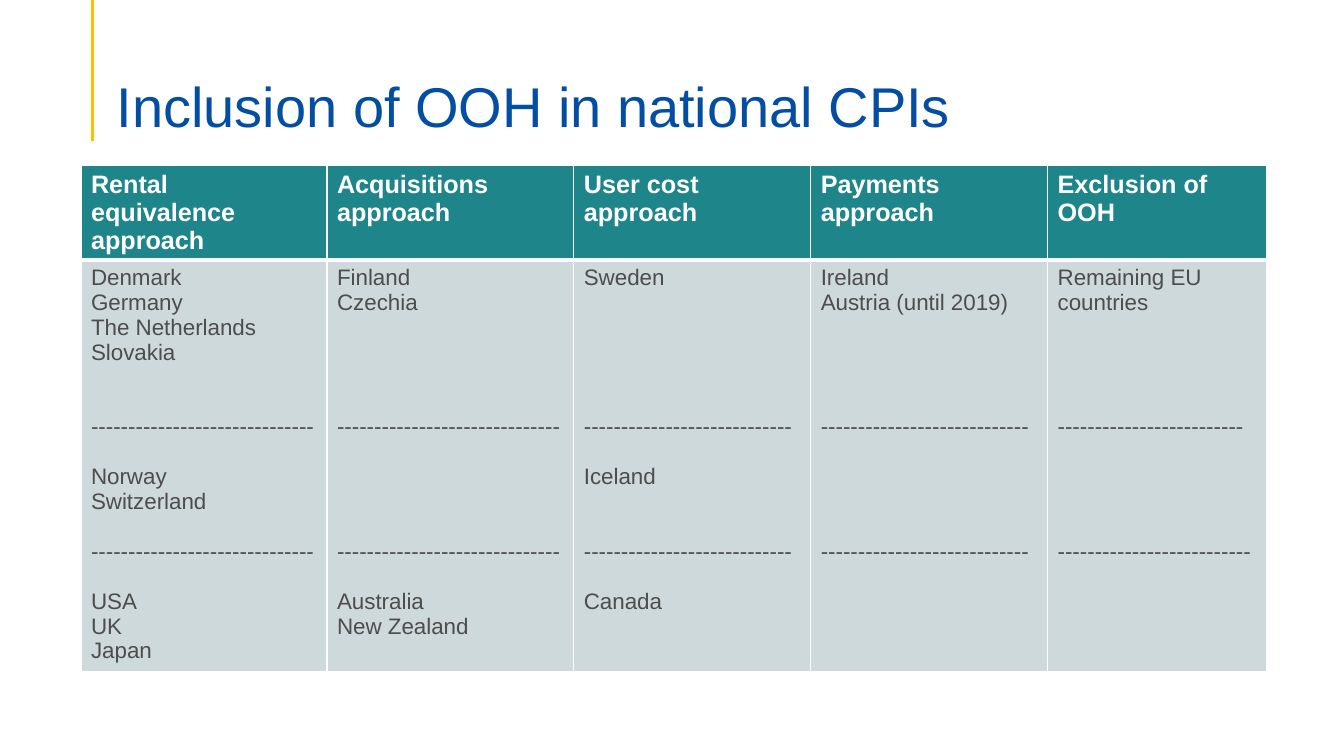
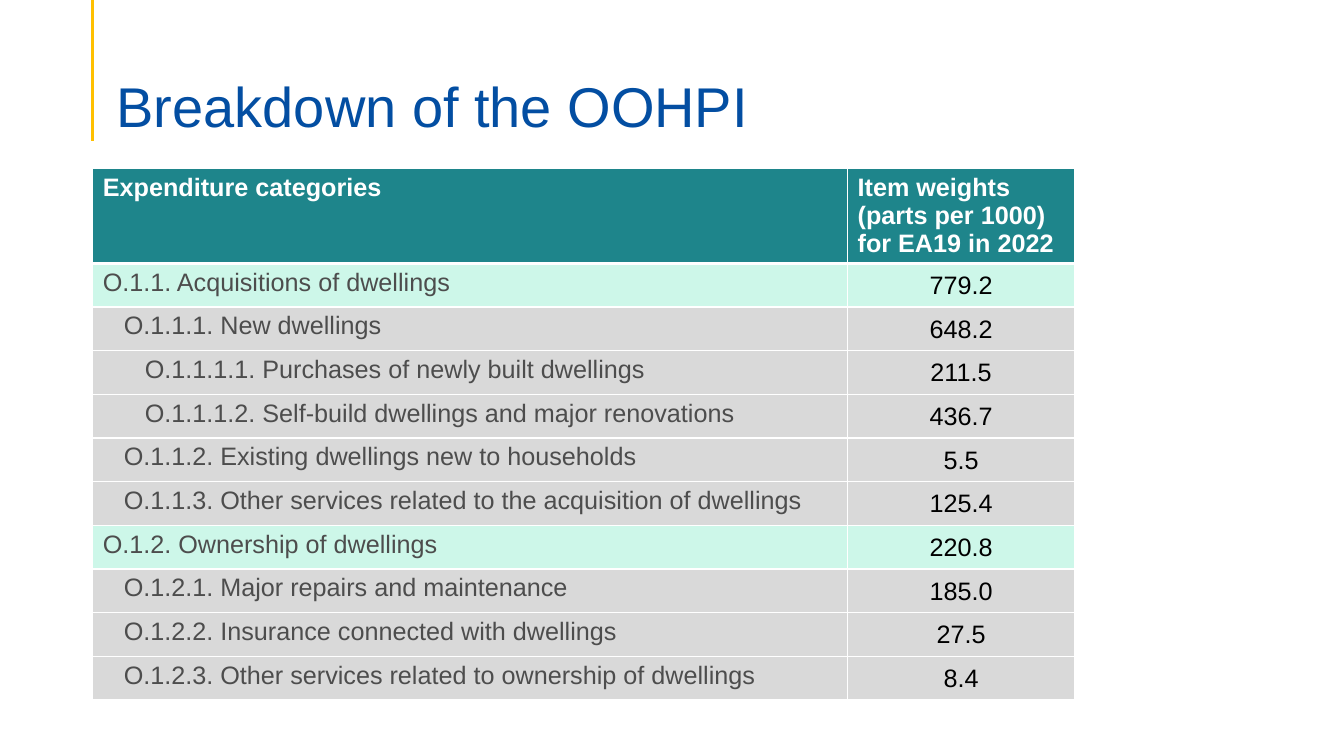
from lxml.etree import SubElement
from pptx import Presentation
from pptx.dml.color import RGBColor
from pptx.enum.shapes import MSO_CONNECTOR
from pptx.enum.text import MSO_ANCHOR, PP_ALIGN
from pptx.oxml.ns import qn
from pptx.util import Cm, Pt

BLUE = RGBColor(0x03, 0x4E, 0xA2)
GOLD = RGBColor(0xFF, 0xC0, 0x00)
TEAL = RGBColor(0x1E, 0x85, 0x8B)
MIST = RGBColor(0xCD, 0xD9, 0xDA)
MINT = RGBColor(0xCD, 0xF7, 0xE9)
SILVER = RGBColor(0xD9, 0xD9, 0xD9)
GREY = RGBColor(0x4D, 0x4D, 0x4D)
BLACK = RGBColor(0x00, 0x00, 0x00)
WHITE = RGBColor(0xFF, 0xFF, 0xFF)

FONT = "Arial"
COUNTRY_SIZE = 16
COUNTRY_LINE = 17.8  # points from one line of countries to the next
INDENT = 0.53  # cm for each level of an expenditure category

# For each approach: heading, column width in cm, and lines of text,
# each with the number of line heights left free above it.
APPROACHES = [
    ("Rental equivalence approach", 6.2,
     [("Denmark", 0), ("Germany", 0), ("The Netherlands", 0), ("Slovakia", 0),
      ("-" * 30, 2), ("Norway", 1), ("Switzerland", 0),
      ("-" * 30, 1), ("USA", 1), ("UK", 0), ("Japan", 0)]),
    ("Acquisitions approach", 6.22,
     [("Finland", 0), ("Czechia", 0), ("-" * 30, 4),
      ("-" * 30, 4), ("Australia", 1), ("New Zealand", 0)]),
    ("User cost approach", 5.97,
     [("Sweden", 0), ("-" * 28, 5), ("Iceland", 1),
      ("-" * 28, 2), ("Canada", 1)]),
    ("Payments approach", 5.97,
     [("Ireland", 0), ("Austria (until 2019)", 0),
      ("-" * 28, 4), ("-" * 28, 4)]),
    ("Exclusion of OOH", 5.51,
     [("Remaining EU countries", 0), ("-" * 25, 4), ("-" * 26, 4)]),
]

# Level, category, weight
WEIGHTS = [
    (0, "O.1.1. Acquisitions of dwellings", "779.2"),
    (1, "O.1.1.1. New dwellings", "648.2"),
    (2, "O.1.1.1.1. Purchases of newly built dwellings", "211.5"),
    (2, "O.1.1.1.2. Self-build dwellings and major renovations", "436.7"),
    (1, "O.1.1.2. Existing dwellings new to households", "5.5"),
    (1, "O.1.1.3. Other services related to the acquisition of dwellings",
     "125.4"),
    (0, "O.1.2. Ownership of dwellings", "220.8"),
    (1, "O.1.2.1. Major repairs and maintenance", "185.0"),
    (1, "O.1.2.2. Insurance connected with dwellings", "27.5"),
    (1, "O.1.2.3. Other services related to ownership of dwellings", "8.4"),
]


class Deck:
    """Holds the shared style and the slide being built."""

    def __init__(self):
        self.prs = Presentation()
        self.prs.slide_width = Cm(33.87)
        self.prs.slide_height = Cm(19.05)
        self.s = None

    def style(self, p, size, color, bold=False):
        font = p.font
        font.name, font.size, font.bold = FONT, Pt(size), bold
        font.color.rgb = color

    def add_slide(self, title):
        self.s = self.prs.slides.add_slide(self.prs.slide_layouts[5])
        self.accent_line()
        sp = self.s.shapes.title
        sp.left, sp.top = Cm(2.69), Cm(1.35)
        sp.width, sp.height = Cm(29.21), Cm(2.18)
        tf = sp.text_frame
        tf.text = title
        tf.vertical_anchor = MSO_ANCHOR.BOTTOM
        tf.margin_left = tf.margin_right = Cm(0.25)
        tf.margin_top, tf.margin_bottom = Cm(0.13), 0
        p = tf.paragraphs[0]
        p.alignment = PP_ALIGN.LEFT
        p.line_spacing = 0.9
        self.style(p, 40, BLUE)

    def accent_line(self):
        line = self.s.shapes.add_connector(
            MSO_CONNECTOR.STRAIGHT, Cm(2.34), 0, Cm(2.34), Cm(3.56))
        line.line.color.rgb = GOLD
        line.line.width = Pt(2.25)
        SubElement(line._element.spPr, qn("a:effectLst"))

    def table(self, left, top, widths, heights, headings):
        """Add a table with its heading row filled in."""
        tbl = self.s.shapes.add_table(
            len(heights), len(widths), Cm(left), Cm(top),
            Cm(sum(widths)), Cm(sum(heights))).table
        tbl.horz_banding = False
        for col, width in zip(tbl.columns, widths):
            col.width = Cm(width)
        for row, height in zip(tbl.rows, heights):
            row.height = Cm(height)
        for i, row in enumerate(tbl.rows):
            for cell in row.cells:
                self.borders(cell, top=3 if i == 1 else 1,
                             bottom=3 if i == 0 else 1)
        for cell, heading in zip(tbl.rows[0].cells, headings):
            self.cell(cell, heading, TEAL, WHITE, bold=True)
        return tbl

    def borders(self, cell, top, bottom):
        """Draw white cell borders; call before the cell is filled."""
        tc_pr = cell._tc.get_or_add_tcPr()
        for side, width in (("L", 1), ("R", 1), ("T", top), ("B", bottom)):
            ln = SubElement(tc_pr, qn(f"a:ln{side}"), w=str(Pt(width)))
            fill = SubElement(ln, qn("a:solidFill"))
            SubElement(fill, qn("a:srgbClr"), val=str(WHITE))

    def cell(self, cell, text, fill, color, size=18, bold=False):
        cell.fill.solid()
        cell.fill.fore_color.rgb = fill
        cell.text = text
        for p in cell.text_frame.paragraphs:
            self.style(p, size, color, bold)


def approaches_slide(deck):
    deck.add_slide("Inclusion of OOH in national CPIs")
    headings, widths, columns = zip(*APPROACHES)
    tbl = deck.table(2.04, 4.17, widths, [2.37, 10.36], headings)
    for cell, lines in zip(tbl.rows[1].cells, columns):
        text = "\n".join(line for line, gap in lines)
        deck.cell(cell, text, MIST, GREY, COUNTRY_SIZE)
        for p, (line, gap) in zip(cell.text_frame.paragraphs, lines):
            p.space_before = Pt(gap * COUNTRY_LINE)


def weights_slide(deck):
    deck.add_slide("Breakdown of the OOHPI")
    tbl = deck.table(
        2.34, 4.25, [19.02, 5.72], [2.37] + [1.1] * len(WEIGHTS),
        ["Expenditure categories",
         "Item weights (parts per 1000) for EA19 in 2022"])
    for i, (level, category, weight) in enumerate(WEIGHTS, 1):
        fill = SILVER if level else MINT
        name, value = tbl.rows[i].cells
        deck.cell(name, category, fill, GREY)
        name.margin_left = Cm(0.25 + INDENT * level)
        deck.cell(value, weight, fill, BLACK)
        value.vertical_anchor = MSO_ANCHOR.MIDDLE
        value.margin_left = value.margin_right = value.margin_top = Cm(0.03)
        value.margin_bottom = 0
        value.text_frame.paragraphs[0].alignment = PP_ALIGN.CENTER


def main():
    deck = Deck()
    approaches_slide(deck)
    weights_slide(deck)
    deck.prs.save("out.pptx")


if __name__ == "__main__":
    main()
